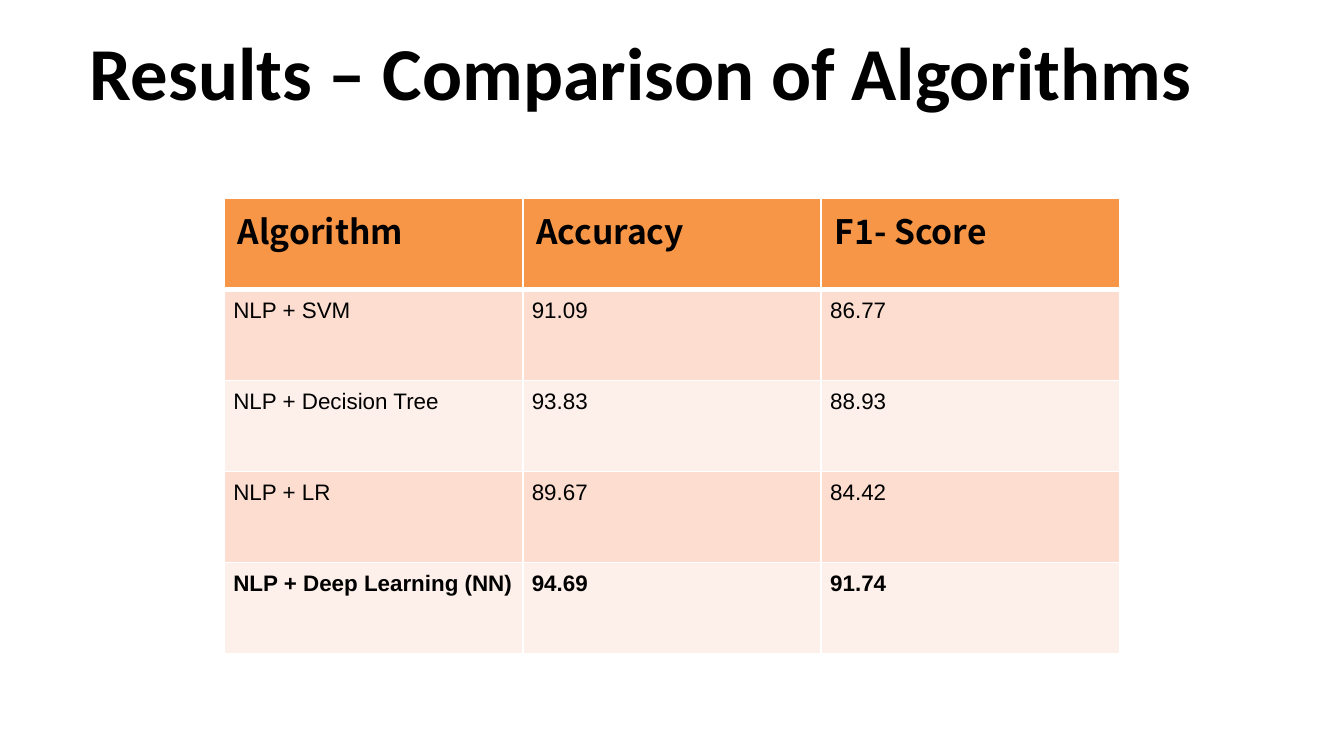
from dataclasses import dataclass

from lxml import etree
from pptx import Presentation
from pptx import util as u
from pptx.dml.color import RGBColor
from pptx.enum import text
from pptx.oxml import ns
from pptx.slide import Slide
from pptx.table import _Cell
from pptx.text.text import TextFrame


@dataclass(frozen=True)
class TextStyle:
    font: str
    size: int
    bold: bool = False


@dataclass(frozen=True)
class Theme:
    ink: str = "000000"
    rule: str = "FFFFFF"
    header_fill: str = "F79646"
    bands: tuple[str, str] = ("FCDDCF", "FDEFE9")
    title: TextStyle = TextStyle("Calibri", 40, True)
    header: TextStyle = TextStyle("Noto Sans CJK KR", 18, True)
    body: TextStyle = TextStyle("Arial", 12)
    best: TextStyle = TextStyle("Arial", 12, True)
    thin_rule: float = 1
    header_rule: float = 3


@dataclass(frozen=True)
class Result:
    algorithm: str
    accuracy: str
    f1_score: str
    best: bool = False

    def values(self) -> tuple[str, str, str]:
        return self.algorithm, self.accuracy, self.f1_score


THEME = Theme()
HEADINGS = ("Algorithm", "Accuracy", "F1- Score")
RESULTS = (
    Result("NLP + SVM", "91.09", "86.77"),
    Result("NLP + Decision Tree", "93.83", "88.93"),
    Result("NLP + LR", "89.67", "84.42"),
    Result("NLP + Deep Learning (NN)", "94.69", "91.74", best=True),
)
COLUMN_WIDTH = u.Cm(5.64)
ROW_HEIGHT = u.Cm(1.72)
BODY_INSET = u.Cm(0.17)


def write(frame: TextFrame, wording: str, style: TextStyle) -> None:
    frame.text = wording
    for run in frame.paragraphs[0].runs:
        run.font.name = style.font
        run.font.size = u.Pt(style.size)
        run.font.bold = style.bold
        run.font.color.rgb = RGBColor.from_string(THEME.ink)


def rule_cell(cell: _Cell, top: float, bottom: float) -> None:
    """Draw the four cell borders; must run before the cell is filled."""
    properties = cell._tc.get_or_add_tcPr()
    widths = {"L": THEME.thin_rule, "R": THEME.thin_rule, "T": top, "B": bottom}
    for side, width in widths.items():
        line = etree.SubElement(properties, ns.qn(f"a:ln{side}"), w=str(u.Pt(width)))
        fill = etree.SubElement(line, ns.qn("a:solidFill"))
        etree.SubElement(fill, ns.qn("a:srgbClr"), val=THEME.rule)


def fill_cell(cell: _Cell, colour: str) -> None:
    cell.fill.solid()
    cell.fill.fore_color.rgb = RGBColor.from_string(colour)


def add_title(slide: Slide, wording: str) -> None:
    title = slide.shapes.add_textbox(u.Cm(1.45), u.Cm(0.15), u.Cm(22.5), u.Cm(2.39))
    frame = title.text_frame
    frame.word_wrap = True
    frame.vertical_anchor = text.MSO_ANCHOR.MIDDLE
    write(frame, wording, THEME.title)


def add_results(slide: Slide) -> None:
    rows, columns = len(RESULTS) + 1, len(HEADINGS)
    table = slide.shapes.add_table(
        rows, columns, u.Cm(4.24), u.Cm(3.75), COLUMN_WIDTH * columns, ROW_HEIGHT * rows
    ).table
    for column in table.columns:
        column.width = COLUMN_WIDTH
    for row in table.rows:
        row.height = ROW_HEIGHT

    for cell, heading in zip(table.rows[0].cells, HEADINGS):
        write(cell.text_frame, heading, THEME.header)
        rule_cell(cell, THEME.thin_rule, THEME.header_rule)
        fill_cell(cell, THEME.header_fill)

    for index, result in enumerate(RESULTS):
        style = THEME.best if result.best else THEME.body
        top = THEME.thin_rule if index else THEME.header_rule
        for cell, value in zip(table.rows[index + 1].cells, result.values()):
            cell.margin_left = cell.margin_right = BODY_INSET
            cell.margin_top = cell.margin_bottom = BODY_INSET
            write(cell.text_frame, value, style)
            rule_cell(cell, top, THEME.thin_rule)
            fill_cell(cell, THEME.bands[index % 2])


def main() -> None:
    deck = Presentation()
    deck.slide_width, deck.slide_height = u.Cm(25.4), u.Cm(14.29)
    slide = deck.slides.add_slide(deck.slide_layouts[6])
    add_title(slide, "Results – Comparison of Algorithms")
    add_results(slide)
    deck.save("out.pptx")


if __name__ == "__main__":
    main()
